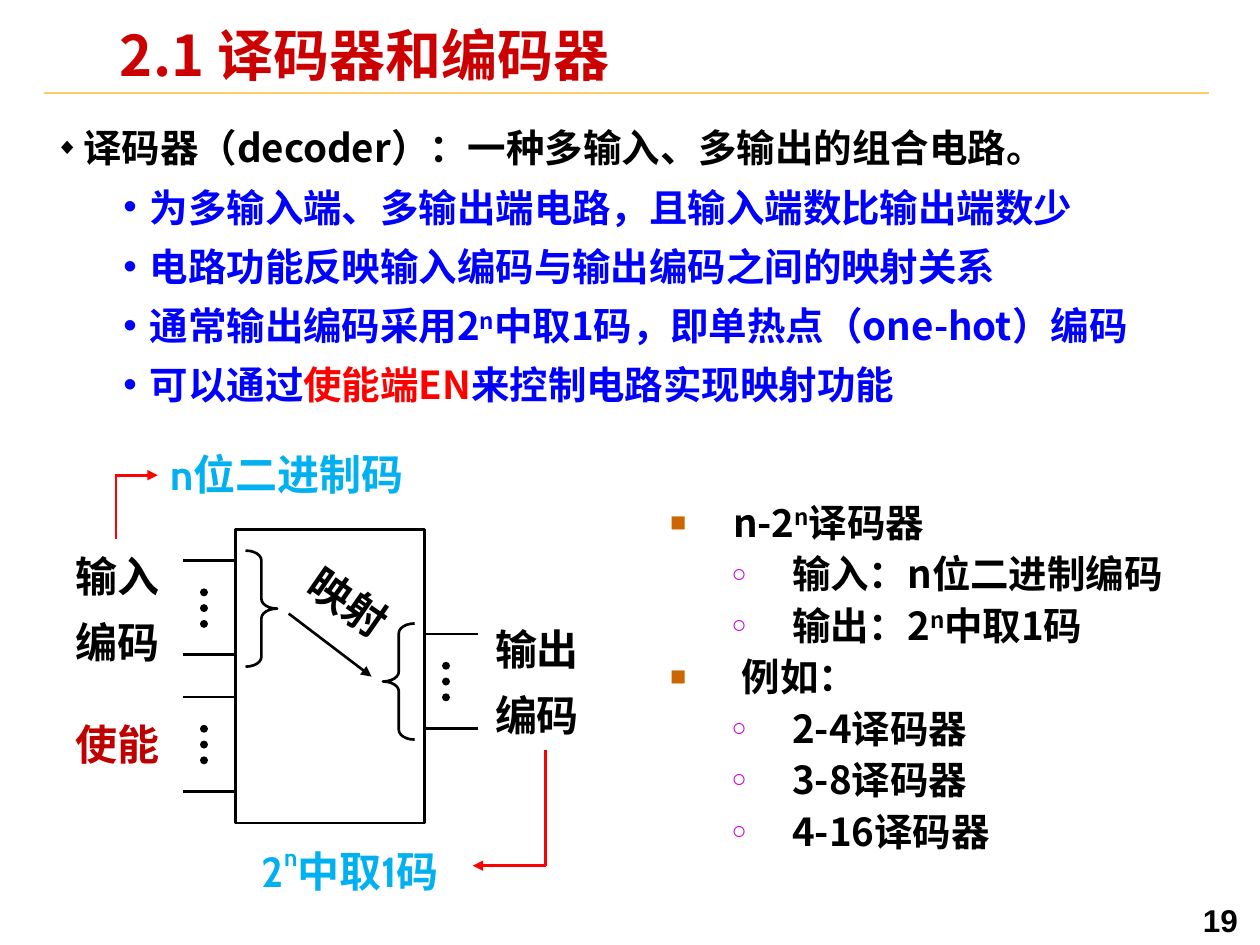
"""Builds the slide on decoders and encoders."""
from dataclasses import dataclass
from lxml import etree
from pptx import Presentation
from pptx import util as u
from pptx.dml.color import RGBColor
from pptx.enum import shapes, text
from pptx.oxml.ns import qn


@dataclass(frozen=True)
class Theme:
    sans: str = "Noto Sans CJK SC"
    serif: str = "Times New Roman"
    accent: str = "Cabin"
    plain: str = "Arial"
    black: str = "000000"
    title: str = "CC0000"
    rule: str = "FFCC66"
    blue: str = "0000FF"
    red: str = "FF0000"
    enable: str = "C00000"
    sky: str = "00B0F0"
    orange: str = "CC6600"
    magenta: str = "CC00CC"
    title_size: int = 32
    label_size: int = 24
    body_size: int = 22
    number_size: int = 18


@dataclass(frozen=True)
class Level:
    char: str
    color: str
    size: int
    left: float
    hang: float
    text_color: str


class Deck:
    def __init__(self, prs, theme):
        self.t = theme
        self.s = prs.slides.add_slide(prs.slide_layouts[6])

    def line(self, x1, y1, x2, y2, color=None, width=1.5, arrow=False, dots=False):
        ends = [u.Cm(v) for v in (x1, y1, x2, y2)]
        c = self.s.shapes.add_connector(shapes.MSO_CONNECTOR.STRAIGHT, *ends)
        c.line.color.rgb = RGBColor.from_string(color or self.t.black)
        c.line.width = u.Pt(width)
        sp_pr = c._element.spPr
        ln = sp_pr.find(qn("a:ln"))
        if dots:
            ln.set("cap", "rnd")
            etree.SubElement(ln, qn("a:prstDash"), val="sysDot")
        if arrow:
            etree.SubElement(ln, qn("a:tailEnd"), type="triangle")
        etree.SubElement(sp_pr, qn("a:effectLst"))

    def shape(self, kind, x, y, w, h, adj=None):
        sp = self.s.shapes.add_shape(kind, *(u.Cm(v) for v in (x, y, w, h)))
        sp.shadow.inherit = False
        sp.fill.background()
        sp.line.color.rgb = RGBColor.from_string(self.t.black)
        sp.line.width = u.Pt(1.5)
        if adj:
            sp.adjustments[0] = adj

    def box(self, x, y, w, h, wrap=True, inset=(0.25, 0.13)):
        sp = self.s.shapes.add_textbox(*(u.Cm(v) for v in (x, y, w, h)))
        tf = sp.text_frame
        tf.word_wrap = wrap
        tf.margin_left = tf.margin_right = u.Cm(inset[0])
        tf.margin_top = tf.margin_bottom = u.Cm(inset[1])
        return sp, tf

    def add_runs(self, p, marked, font, size, color, raised=30):
        """Fill a paragraph; | splits runs, ^ raises a run and ! turns it red."""
        for piece in marked.split("|"):
            r = p.add_run()
            r.text = piece.lstrip("^!")
            r.font.name, r.font.size, r.font.bold = font, u.Pt(size), True
            shade = self.t.red if piece.startswith("!") else color
            r.font.color.rgb = RGBColor.from_string(shade)
            r_pr = r._r.get_or_add_rPr()
            etree.SubElement(r_pr, qn("a:ea"), typeface=self.t.sans)
            if piece.startswith("^"):
                r_pr.set("baseline", str(raised * 1000))

    def label(self, lines, x, y, w, h, font, size, color, spacing=None,
              wrap=False, rotation=0, raised=30):
        sp, tf = self.box(x, y, w, h, wrap)
        sp.rotation = rotation
        for i, row in enumerate(lines):
            p = tf.add_paragraph() if i else tf.paragraphs[0]
            p.line_spacing = spacing
            self.add_runs(p, row, font, size, color, raised)
        return tf

    def bullets(self, items, levels, frame, before, spacing=None, inset=(0.25, 0.13)):
        tf = self.box(*frame, inset=inset)[1]
        for i, (depth, row) in enumerate(items):
            lv = levels[depth]
            p = tf.add_paragraph() if i else tf.paragraphs[0]
            p.level = depth
            p.space_before = u.Pt(before)
            p.line_spacing = spacing
            self.add_runs(p, row, self.t.sans, self.t.body_size, lv.text_color)
            p_pr = p._p.get_or_add_pPr()
            p_pr.set("marL", str(u.Cm(lv.left)))
            p_pr.set("indent", str(-u.Cm(lv.hang)))
            clr = etree.SubElement(p_pr, qn("a:buClr"))
            etree.SubElement(clr, qn("a:srgbClr"), val=lv.color)
            etree.SubElement(p_pr, qn("a:buSzPct"), val=str(lv.size * 1000))
            etree.SubElement(p_pr, qn("a:buFont"), typeface=self.t.plain)
            etree.SubElement(p_pr, qn("a:buChar"), char=lv.char)

    def pins(self, x, y):
        for pin_y in (y, y + 1.9):
            self.line(x + 1.07, pin_y, x, pin_y)
        self.line(x + 0.43, y + 0.64, x + 0.43, y + 1.48, width=4.5, dots=True)


def main():
    prs = Presentation()
    prs.slide_width, prs.slide_height = u.Cm(25.4), u.Cm(19.05)
    t = Theme()
    d = Deck(prs, t)

    d.line(0.89, 1.88, 24.38, 1.88, t.rule, 1)
    tf = d.label(["2.1 译码器和编码器"], 2.24, 0.53, 16.87, 1.32,
                 t.sans, t.title_size, t.title, 0.87, wrap=True)
    tf.margin_left = tf.margin_right = u.Cm(0.18)
    tf.margin_top = tf.margin_bottom = u.Cm(0.08)
    tf.vertical_anchor = text.MSO_ANCHOR.MIDDLE

    d.bullets(
        [(0, "译码器（decoder）：一种多输入、多输出的组合电路。"),
         (1, "为多输入端、多输出端电路，且输入端数比输出端数少"),
         (1, "电路功能反映输入编码与输出编码之间的映射关系"),
         (1, "通常输出编码采用2|^n|中取1码，即单热点（one-hot）编码"),
         (1, "可以通过|!使能端EN|来控制电路实现映射功能")],
        [Level("◆", t.black, 60, 0.56, 0.56, t.black),
         Level("•", t.blue, 100, 1.9, 0.53, t.blue)],
        (0.94, 2.24, 23.55, 6.17), 2.2, 1.2, (0.18, 0.08))
    d.label(["19"], 24, 18.03, 1.4, 0.91, t.plain, t.number_size, t.black)

    d.shape(shapes.MSO_SHAPE.RECTANGLE, 4.75, 10.67, 3.81, 5.92)
    for x, y in ((3.68, 11.3), (3.68, 14.05), (8.56, 12.78)):
        d.pins(x, y)
    d.shape(shapes.MSO_SHAPE.LEFT_BRACE, 7.72, 12.57, 0.64, 2.34, 0.306)
    d.shape(shapes.MSO_SHAPE.RIGHT_BRACE, 4.95, 11.1, 0.64, 2.34, 0.306)
    d.line(5.82, 12.37, 7.49, 13.64, arrow=True)

    for rows, x, y, h, color in ((["使能"], 1.27, 14.05, 1.45, t.enable),
                                 (["输入", "编码"], 1.27, 10.67, 2.79, t.black),
                                 (["输出", "编码"], 9.73, 12.14, 2.79, t.black)):
        d.label(rows, x, y, 2.24, h, t.serif, t.label_size, color, 1.3)
    d.label(["映射"], 5.92, 11.51, 2.24, 1.3, t.serif, t.label_size, t.black,
            rotation=34.8)
    for row, x, y, w in (("n位二进制码", 3.18, 8.92, 5.2),
                         ("2|^n|中取1码", 5.03, 16.84, 4.32)):
        d.label([row], x, y, w, 1.3, t.accent, t.label_size, t.sky,
                wrap=True, raised=50)

    d.line(2.34, 10.87, 2.34, 9.6, t.red)
    d.line(2.31, 9.58, 3.18, 9.58, t.red, arrow=True)
    d.line(11, 15.11, 11, 17.45, t.red)
    d.line(11, 17.45, 9.53, 17.45, t.red, arrow=True)

    d.bullets(
        [(0, "n-2|^n|译码器"), (1, "输入：n位二进制编码"), (1, "输出：2|^n|中取1码"),
         (0, " 例如："), (1, "2-4译码器"), (1, "3-8译码器"), (1, "4-16译码器")],
        [Level("■", t.orange, 70, 1.27, 1.27, t.black),
         Level("○", t.magenta, 65, 2.46, 1.22, t.black)],
        (13.26, 9.93, 11.33, 7.62), 3)
    prs.save("out.pptx")


if __name__ == "__main__":
    main()
